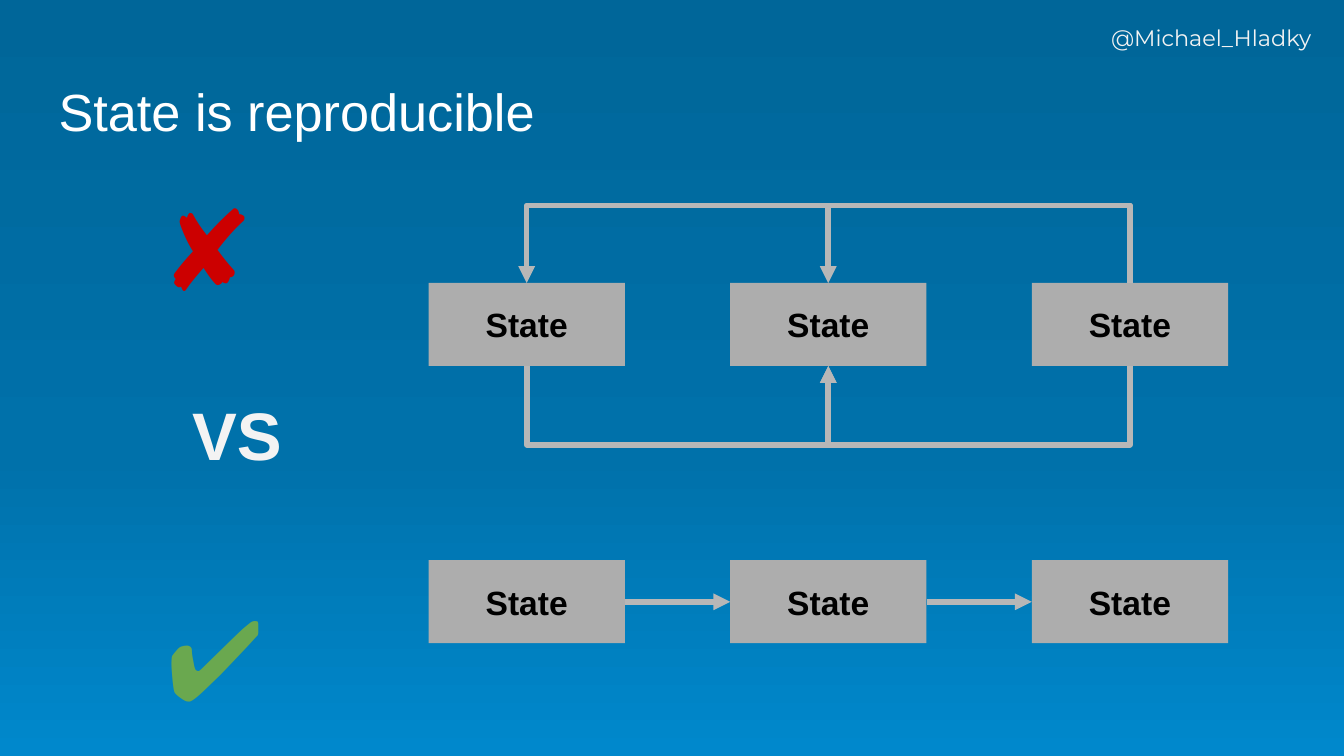
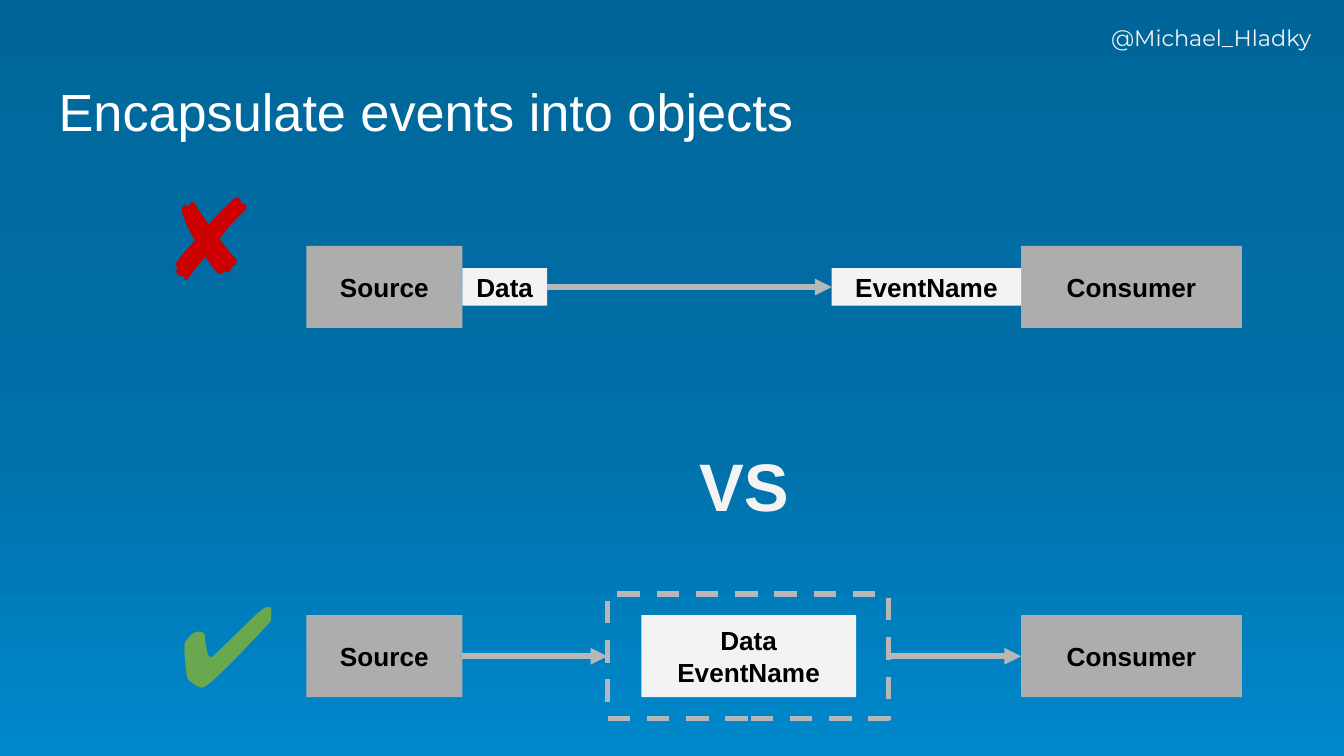
from copy import deepcopy

from lxml import etree
from pptx import Presentation
from pptx.dml.color import RGBColor
from pptx.enum.dml import MSO_LINE
from pptx.enum.shapes import MSO_CONNECTOR, MSO_SHAPE
from pptx.enum.text import MSO_ANCHOR, PP_ALIGN
from pptx.oxml.ns import qn
from pptx.util import Cm, Emu, Pt

RECTANGLE = MSO_SHAPE.RECTANGLE
STRAIGHT, ELBOW = MSO_CONNECTOR.STRAIGHT, MSO_CONNECTOR.ELBOW
DASH = MSO_LINE.DASH
LEFT, CENTER = PP_ALIGN.LEFT, PP_ALIGN.CENTER
TOP, MIDDLE = MSO_ANCHOR.TOP, MSO_ANCHOR.MIDDLE

# Connection sites of a rectangle
SITE_TOP, SITE_LEFT, SITE_BOTTOM, SITE_RIGHT = range(4)

WHITE = RGBColor(0xFF, 0xFF, 0xFF)
BLACK = RGBColor(0x00, 0x00, 0x00)
PALE = RGBColor(0xF3, 0xF3, 0xF3)
BOX_GRAY = RGBColor(0xAD, 0xAD, 0xAD)
LINE_GRAY = RGBColor(0xB7, 0xB7, 0xB7)
RED = RGBColor(0xCC, 0x00, 0x00)
GREEN = RGBColor(0x6A, 0xA8, 0x4F)
BACKGROUND = [
    (0, RGBColor(0x00, 0x66, 0x99)),
    (0.6, RGBColor(0x00, 0x71, 0xAA)),
    (1, RGBColor(0x00, 0x88, 0xCC)),
]

BODY_FONT = "Arial"
LINE_WIDTH = Pt(3)
ELBOW_THICKNESS = Emu(600)


def paint_background(master):
    fill = master.background.fill
    fill.gradient()
    fill.gradient_angle = 270
    stop_list = master.element.find(".//" + qn("a:gsLst"))
    stop_list.insert(1, deepcopy(stop_list[0]))
    for stop, (position, color) in zip(fill.gradient_stops, BACKGROUND):
        stop.position = position
        stop.color.rgb = color


def write(shape, text, size, color, bold=False, font=BODY_FONT,
          align=CENTER, anchor=MIDDLE):
    frame = shape.text_frame
    frame.word_wrap = True
    frame.vertical_anchor = anchor
    frame.margin_left = frame.margin_right = Cm(0.25)
    frame.margin_top = frame.margin_bottom = Cm(0.25)
    paragraph = frame.paragraphs[0]
    paragraph.alignment = align
    for number, line in enumerate(text.split("\n")):
        if number:
            paragraph.add_line_break()
        run = paragraph.add_run()
        run.text = line
        run.font.name = font
        run.font.size = Pt(size)
        run.font.bold = bold
        run.font.color.rgb = color


def add_text(slide, box, text, size, color, **style):
    shape = slide.shapes.add_textbox(*map(Cm, box))
    write(shape, text, size, color, **style)


def add_box(slide, box, text, size=14, color=BOX_GRAY):
    shape = slide.shapes.add_shape(RECTANGLE, *map(Cm, box))
    shape.shadow.inherit = False
    shape.fill.solid()
    shape.fill.fore_color.rgb = color
    shape.line.fill.background()
    write(shape, text, size, BLACK, bold=True)
    return shape


def add_dashed_frame(slide, box):
    shape = slide.shapes.add_shape(RECTANGLE, *map(Cm, box))
    shape.shadow.inherit = False
    shape.fill.background()
    shape.line.color.rgb = LINE_GRAY
    shape.line.width = LINE_WIDTH
    shape.line.dash_style = DASH
    return shape


def add_arrow(slide, start, end, start_site=SITE_RIGHT, end_site=SITE_LEFT,
              kind=STRAIGHT):
    connector = slide.shapes.add_connector(kind, 0, 0, 0, 0)
    connector.begin_connect(start, start_site)
    connector.end_connect(end, end_site)
    connector.line.color.rgb = LINE_GRAY
    connector.line.width = LINE_WIDTH
    properties = connector.element.spPr
    line = properties.find(qn("a:ln"))
    etree.SubElement(line, qn("a:tailEnd"), type="triangle")
    etree.SubElement(properties, qn("a:effectLst"))
    return connector


def add_loop(slide, start, end, site, depth):
    """Elbow arrow leaving and entering on one side; depth is positive downwards."""
    connector = add_arrow(slide, start, end, site, site, ELBOW)
    start_x, end_x = connector.begin_x, connector.end_x
    span, center_y = abs(end_x - start_x), connector.begin_y
    connector.left = Emu((start_x + end_x - ELBOW_THICKNESS) // 2)
    connector.top = Emu(center_y - span // 2)
    connector.width, connector.height = ELBOW_THICKNESS, Emu(span)

    rightwards = end_x > start_x
    transform = connector.element.spPr.find(qn("a:xfrm"))
    transform.set("rot", str((270 if rightwards else 90) * 60000))
    transform.set("flipH", "1" if rightwards else "0")
    geometry = connector.element.spPr.find(qn("a:prstGeom"))
    adjustments = geometry.find(qn("a:avLst"))
    if adjustments is None:
        adjustments = etree.SubElement(geometry, qn("a:avLst"))
    ratio = round(Cm(depth) / ELBOW_THICKNESS * 100000)
    etree.SubElement(adjustments, qn("a:gd"), name="adj1", fmla=f"val {ratio}")


def add_base(presentation, title):
    slide = presentation.slides.add_slide(presentation.slide_layouts[6])
    add_text(slide, (20.75, 0.2, 4.32, 1.14), "@Michael_Hladky", 12, PALE,
             font="Montserrat", align=LEFT, anchor=TOP)
    add_text(slide, (0.86, 1.24, 23.67, 1.6), title, 28, WHITE,
             align=LEFT, anchor=TOP)
    return slide


def add_verdicts(slide, cross, versus, check):
    """Place the cross, VS and check marks at their left-top corners."""
    add_text(slide, (*cross, 1.88, 1.85), "✘", 60, RED, align=LEFT)
    add_text(slide, (*versus, 2.62, 1.65), "VS", 36, PALE, bold=True, anchor=TOP)
    add_text(slide, (*check, 1.65, 2.13), "✔", 60, GREEN, font="Calibri", align=LEFT)


def add_state_row(slide, left, top, width, height):
    box_width = 3.71
    pitch = (width - box_width) / 2
    return [add_box(slide, (left + i * pitch, top, box_width, height), "State", 18)
            for i in range(3)]


def add_tangled_states(slide, box):
    first, second, third = add_state_row(slide, *box)
    for start, end, site, depth in [
        (second, third, SITE_BOTTOM, 1.24),
        (second, first, SITE_BOTTOM, 1.24),
        (first, third, SITE_TOP, -1.22),
        (second, third, SITE_TOP, -1.22),
    ]:
        add_loop(slide, start, end, site, depth)


def add_chained_states(slide, box):
    states = add_state_row(slide, *box)
    for start, end in zip(states, states[1:]):
        add_arrow(slide, start, end)


def add_endpoints(slide, left, top, width, height):
    source_width, consumer_width = 2.95, 4.17
    source = add_box(slide, (left, top, source_width, height), "Source")
    consumer_left = left + width - consumer_width
    consumer = add_box(slide, (consumer_left, top, consumer_width, height), "Consumer")
    return source, consumer, left + source_width, consumer_left


def add_split_event(slide, box):
    _, top, _, height = box
    _, _, source_right, consumer_left = add_endpoints(slide, *box)
    tag_height, data_width, name_width = 0.71, 1.6, 3.58
    tag_top = top + (height - tag_height) / 2
    data = add_box(slide, (source_right, tag_top, data_width, tag_height),
                   "Data", color=PALE)
    name = add_box(slide, (consumer_left - name_width, tag_top, name_width, tag_height),
                   "EventName", color=PALE)
    add_arrow(slide, data, name)


def add_wrapped_event(slide, box):
    left, top, _, height = box
    source, consumer, _, _ = add_endpoints(slide, *box)
    frame = add_dashed_frame(slide, (left + 5.69, top - 0.4, 5.31, height + 0.8))
    add_box(slide, (left + 6.33, top, 4.06, height), "Data\nEventName", color=PALE)
    add_arrow(slide, source, frame)
    add_arrow(slide, frame, consumer)


def build_state_slide(presentation):
    slide = add_base(presentation, "State is reproducible")
    add_tangled_states(slide, (8.1, 5.35, 15.11, 1.57))
    add_chained_states(slide, (8.1, 10.59, 15.11, 1.57))
    add_verdicts(slide, (2.79, 3.73), (3.17, 7.19), (2.9, 11.33))


def build_event_slide(presentation):
    slide = add_base(presentation, "Encapsulate events into objects")
    add_verdicts(slide, (2.82, 3.53), (12.75, 8.15), (3.15, 11.07))
    add_wrapped_event(slide, (5.79, 11.63, 17.68, 1.55))
    add_split_event(slide, (5.79, 4.65, 17.68, 1.55))


def main():
    presentation = Presentation()
    presentation.slide_width = Cm(25.4)
    presentation.slide_height = Cm(14.29)
    paint_background(presentation.slide_master)
    build_state_slide(presentation)
    build_event_slide(presentation)
    presentation.save("out.pptx")


if __name__ == "__main__":
    main()
